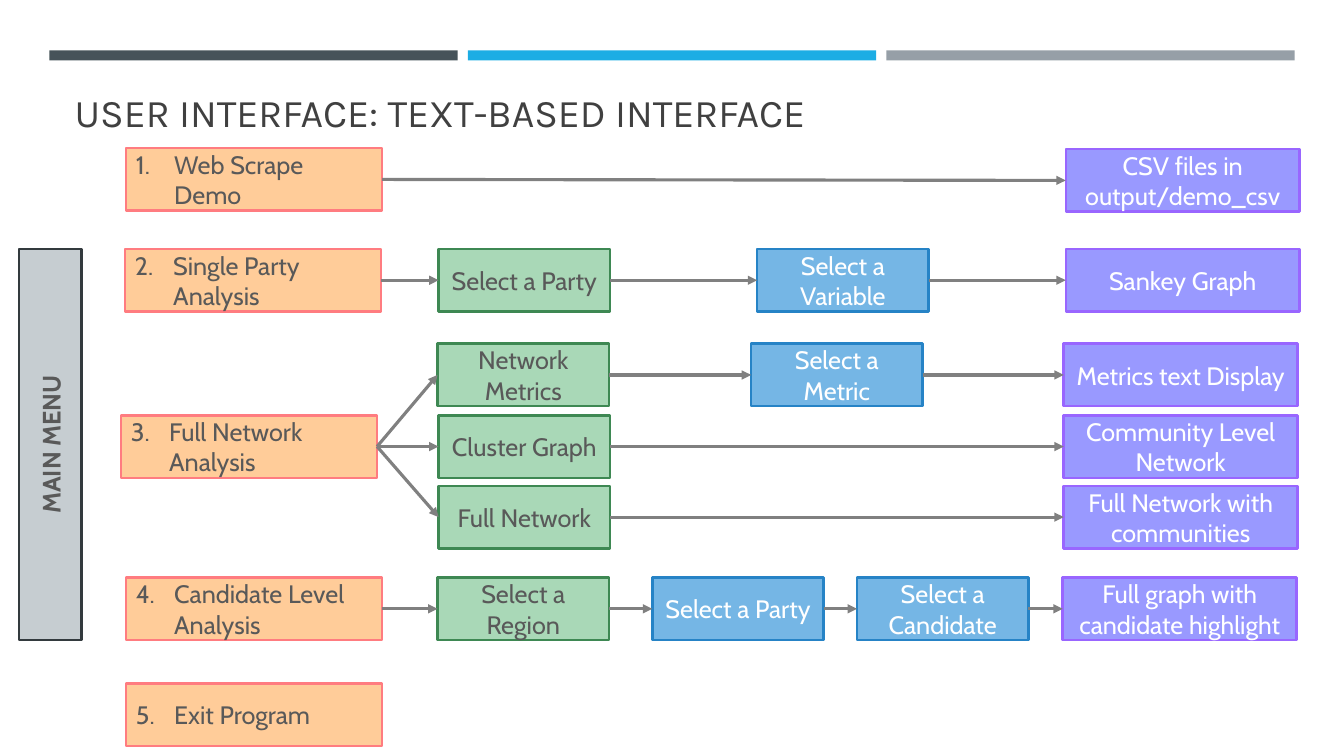
import pptx
import pptx.util
import pptx.dml.color
import pptx.enum.shapes
import pptx.enum.text
import pptx.oxml.ns
import lxml.etree

Inches = pptx.util.Inches
RGBColor = pptx.dml.color.RGBColor
ALIGN = pptx.enum.text.PP_ALIGN
ANCHOR = pptx.enum.text.MSO_ANCHOR
RECTANGLE = pptx.enum.shapes.MSO_SHAPE.RECTANGLE
STRAIGHT = pptx.enum.shapes.MSO_CONNECTOR.STRAIGHT
qn = pptx.oxml.ns.qn

WHITE = RGBColor(0xFF, 0xFF, 0xFF)
TITLE_GRAY = RGBColor(0x40, 0x40, 0x40)
TEXT_GRAY = RGBColor(0x59, 0x59, 0x59)
ARROW_GRAY = RGBColor(0x80, 0x80, 0x80)
BAR_SLATE = RGBColor(0x46, 0x53, 0x59)
BAR_BLUE = RGBColor(0x1C, 0xAD, 0xE4)
BAR_GRAY = RGBColor(0x96, 0x9F, 0xA7)
MENU_FILL = RGBColor(0xC6, 0xCD, 0xD1)
MENU_LINE = RGBColor(0x33, 0x3A, 0x3E)
ORANGE = RGBColor(0xFF, 0xCC, 0x99)
CORAL = RGBColor(0xFF, 0x7C, 0x80)
GREEN = RGBColor(0xA9, 0xD8, 0xB7)
DARK_GREEN = RGBColor(0x3E, 0x88, 0x53)
BLUE = RGBColor(0x75, 0xB6, 0xE5)
DARK_BLUE = RGBColor(0x26, 0x83, 0xC6)
LILAC = RGBColor(0x99, 0x99, 0xFF)
PURPLE = RGBColor(0x99, 0x66, 0xFF)

BOX_HEIGHT = 0.62
# role: width, fill, outline, text colour
ROLES = {
    "option": (2.54, ORANGE, CORAL, TEXT_GRAY),
    "first": (1.7, GREEN, DARK_GREEN, TEXT_GRAY),
    "next": (1.7, BLUE, DARK_BLUE, WHITE),
    "output": (2.32, LILAC, PURPLE, WHITE),
    "menu": (3.88, MENU_FILL, MENU_LINE, TEXT_GRAY),
}


def write(frame, text, size=18, font="Cabin", color=TEXT_GRAY, bold=False,
          align=ALIGN.CENTER, anchor=ANCHOR.MIDDLE, number=None):
    """Fill a text frame; number makes the paragraph a numbered item."""
    frame.word_wrap = True
    frame.auto_size = pptx.enum.text.MSO_AUTO_SIZE.NONE
    frame.vertical_anchor = anchor
    paragraph = frame.paragraphs[0]
    paragraph.alignment = align
    if number:
        properties = paragraph._p.get_or_add_pPr()
        properties.set("marL", str(Inches(0.38)))
        properties.set("indent", str(Inches(-0.38)))
        lxml.etree.SubElement(properties, qn("a:buAutoNum"),
                              type="arabicPeriod", startAt=str(number))
    run = paragraph.add_run()
    run.text = text
    run.font.size = pptx.util.Pt(size)
    run.font.name = font
    run.font.bold = bold
    run.font.color.rgb = color


def add_box(role, text, left, top, **text_format):
    width, fill, outline, color = ROLES[role]
    box = slide.shapes.add_shape(RECTANGLE, Inches(left), Inches(top),
                                 Inches(width), Inches(BOX_HEIGHT))
    box.shadow.inherit = False
    box.fill.solid()
    box.fill.fore_color.rgb = fill
    box.line.color.rgb = outline
    box.line.width = pptx.util.Pt(1.75)
    write(box.text_frame, text, color=color, **text_format)
    return box


deck = pptx.Presentation()
deck.slide_width = Inches(13.33)
deck.slide_height = Inches(7.5)
slide = deck.slides.add_slide(deck.slide_layouts[5])

for column, bar_color in enumerate((BAR_SLATE, BAR_BLUE, BAR_GRAY)):
    bar = slide.shapes.add_shape(RECTANGLE, Inches(0.49 + 4.15 * column), Inches(0.5),
                                 Inches(4.05), Inches(0.1))
    bar.shadow.inherit = False
    bar.fill.solid()
    bar.fill.fore_color.rgb = bar_color
    bar.line.fill.background()

title = slide.shapes.title
title.left, title.top = Inches(0.64), Inches(0.77)
title.width, title.height = Inches(12.06), Inches(0.62)
write(title.text_frame, "USER INTERFACE: TEXT-BASED INTERFACE", size=28, font="Karla",
      color=TITLE_GRAY, align=ALIGN.LEFT, anchor=ANCHOR.BOTTOM)

main_menu = add_box("menu", "MAIN MENU", -1.44, 4.1, bold=True)
main_menu.rotation = 270

# Each option: text, left, top, then its branches of (top, steps)
options = [
    ("Web Scrape Demo", 1.25, 1.47, [
        (1.48, [("output", "CSV files in output/demo_csv", 10.57)])]),
    ("Single Party Analysis", 1.24, 2.47, [
        (2.47, [("first", "Select a Party", 4.35), ("next", "Select a Variable", 7.51),
                ("output", "Sankey Graph", 10.57)])]),
    ("Full Network Analysis", 1.2, 4.12, [
        (3.41, [("first", "Network Metrics", 4.34), ("next", "Select a Metric", 7.45),
                ("output", "Metrics text Display", 10.55)]),
        (4.12, [("first", "Cluster Graph", 4.35),
                ("output", "Community Level Network", 10.55)]),
        (4.82, [("first", "Full Network", 4.35),
                ("output", "Full Network with communities", 10.55)])]),
    ("Candidate Level Analysis", 1.25, 5.73, [
        (5.73, [("first", "Select a Region", 4.34), ("next", "Select a Party", 6.47),
                ("next", "Select a Candidate", 8.5),
                ("output", "Full graph with candidate highlight", 10.54)])]),
    ("Exit Program", 1.25, 6.78, []),
]

for number, (option_text, option_left, option_top, branches) in enumerate(options, 1):
    option = add_box("option", option_text, option_left, option_top,
                     align=ALIGN.LEFT, number=number)
    for branch_top, steps in branches:
        previous = option
        for role, step_text, step_left in steps:
            step = add_box(role, step_text, step_left, branch_top)
            arrow = slide.shapes.add_connector(STRAIGHT, 0, 0, 0, 0)
            arrow.begin_connect(previous, 3)
            arrow.end_connect(step, 1)
            arrow.line.color.rgb = ARROW_GRAY
            arrow.line.width = pptx.util.Pt(2.25)
            lxml.etree.SubElement(arrow.line._get_or_add_ln(), qn("a:tailEnd"), type="triangle")
            lxml.etree.SubElement(arrow._element.spPr, qn("a:effectLst"))
            previous = step

deck.save("out.pptx")
